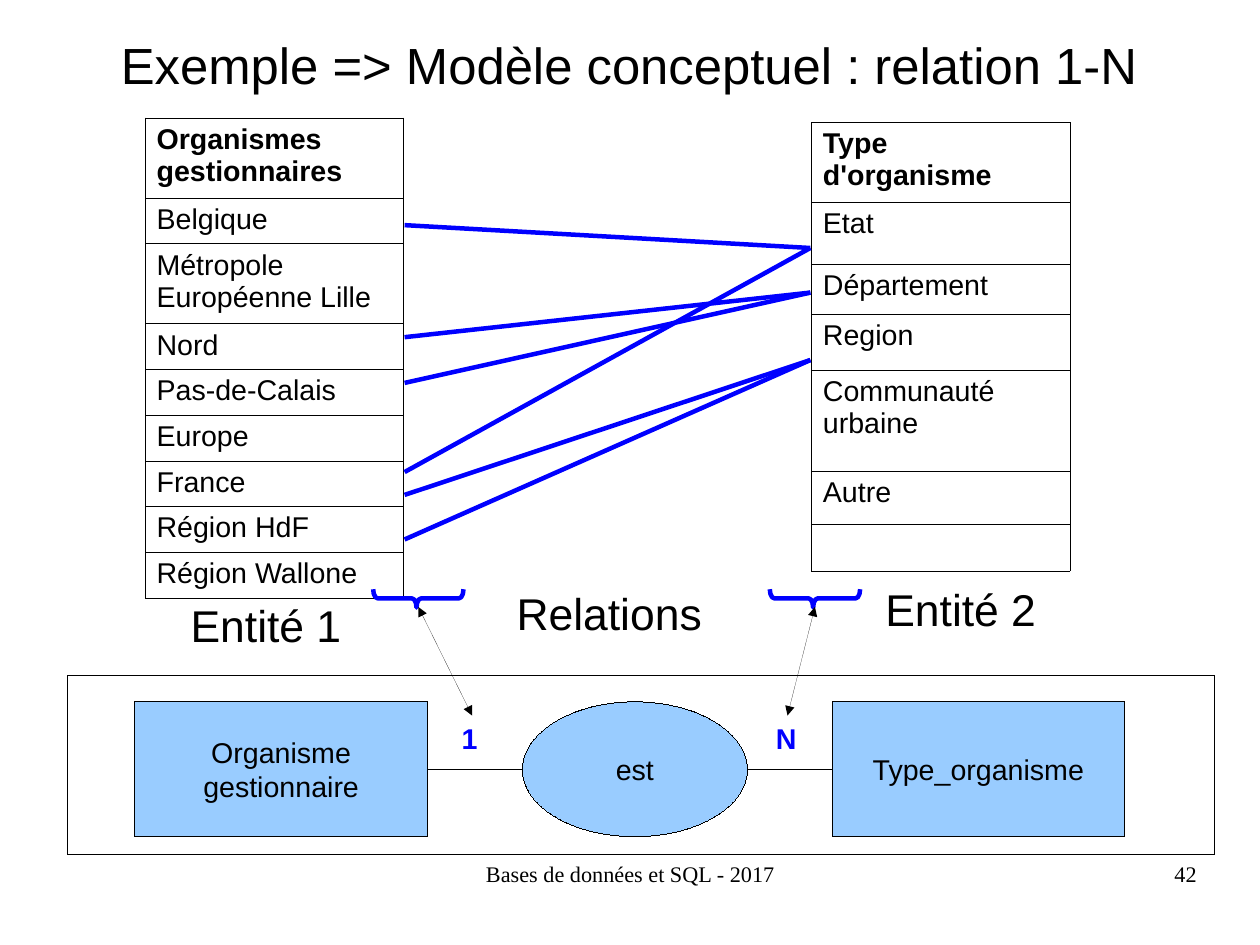
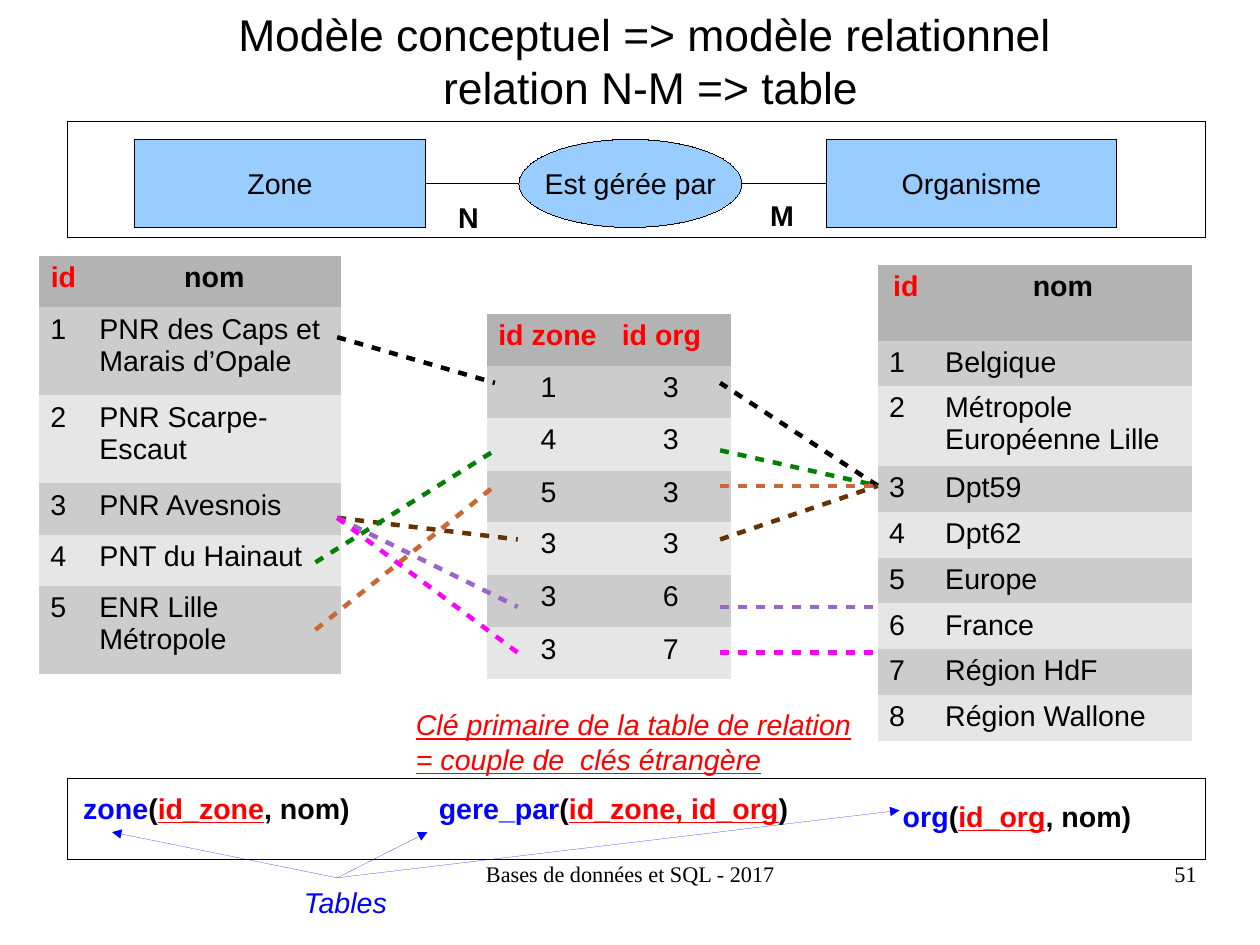
from lxml import etree
from pptx import Presentation
from pptx.dml.color import RGBColor
from pptx.enum.shapes import MSO_CONNECTOR, MSO_SHAPE
from pptx.enum.text import MSO_ANCHOR, PP_ALIGN
from pptx.oxml import parse_xml
from pptx.oxml.ns import nsdecls, qn
from pptx.util import Cm, Pt

PX = 9144  # 100 px to the inch
LEFT, CENTER, RIGHT = PP_ALIGN.LEFT, PP_ALIGN.CENTER, PP_ALIGN.RIGHT
TOP, MIDDLE = MSO_ANCHOR.TOP, MSO_ANCHOR.MIDDLE
RECTANGLE, ELLIPSE, BRACE = MSO_SHAPE.RECTANGLE, MSO_SHAPE.OVAL, MSO_SHAPE.LEFT_BRACE
STRAIGHT = MSO_CONNECTOR.STRAIGHT
NO_GRID_STYLE = "{2D5ABB26-0587-4C30-8999-92F81FD0307C}"
THICK = 2.83
HAIRLINE = 0.01

COLORS = {
    "black": "000000", "blue": "0000FF", "red": "FF0000", "sky": "99CCFF",
    "header": "B3B3B3", "odd": "CCCCCC", "even": "E6E6E6",
    "brown": "663300", "green": "008000", "orange": "CC6633",
    "purple": "9966CC", "pink": "FF00FF",
}
RGB = {name: RGBColor.from_string(value) for name, value in COLORS.items()}


def write(frame, text, size=18, color="black", align=LEFT, bold=False,
          italic=False, underline=False, font="Arial"):
    frame.text = text
    for paragraph in frame.paragraphs:
        paragraph.alignment = align
        for span in paragraph.runs:
            span.font.name = font
            span.font.size = Pt(size)
            span.font.color.rgb = RGB[color]
            span.font.bold = bold
            span.font.italic = italic
            span.font.underline = underline


def draw_line(page, start, end, color="black", width=HAIRLINE, dashed=False, arrows=()):
    """Draw a straight line; arrows lists the ends with a head: headEnd, tailEnd."""
    line = page.shapes.add_connector(
        STRAIGHT, *[int(length * PX) for length in (*start, *end)])
    line.line.color.rgb = RGB[color]
    line.line.width = Pt(width)
    outline = line.line._get_or_add_ln()
    if dashed:
        outline.append(parse_xml(
            f'<a:custDash {nsdecls("a")}><a:ds d="200000" sp="200000"/></a:custDash>'))
    for arrow in arrows:
        etree.SubElement(outline, qn(f"a:{arrow}"), type="triangle")
    etree.SubElement(line._element.spPr, qn("a:effectLst"))
    return line


deck = Presentation()
deck.slide_width, deck.slide_height = Cm(28), Cm(21)
concept, relational = [deck.slides.add_slide(deck.slide_layouts[6]) for _ in range(2)]

# Tables: page, position, column widths, row heights, rows
organisms = ["Belgique", "Métropole Européenne Lille", "Nord", "Pas-de-Calais",
             "Europe", "France", "Région HdF", "Région Wallone"]
departments = {"Nord": "Dpt59", "Pas-de-Calais": "Dpt62"}
kinds = ["Etat", "Département", "Region", "Communauté urbaine", "Autre", ""]
zones = ["PNR des Caps et Marais d’Opale", "PNR Scarpe-Escaut", "PNR Avesnois",
         "PNT du Hainaut", "ENR Lille Métropole"]
links = ["13", "43", "53", "33", "36", "37"]
id_header = ["id ", "nom"]

tables = [
    (concept, (127, 103), [226], [70, 40, 70] + [40] * 6,
     [["Organismes gestionnaires"]] + [[name] for name in organisms]),
    (concept, (710, 107), [226], [70, 54, 44, 49, 88, 47, 40],
     [["Type d'organisme"]] + [[name] for name in kinds]),
    (relational, (768, 232), [49, 226], [66, 40, 70] + [40] * 6,
     [id_header] + [[str(number), departments.get(name, name)]
                    for number, name in enumerate(organisms, 1)]),
    (relational, (34, 224), [43, 221], [45, 77, 77, 45, 45, 77],
     [id_header] + [[str(number), name] for number, name in enumerate(zones, 1)]),
    (relational, (426, 275), [108, 106], [45, 46, 46, 45, 46, 46, 45],
     [["id zone", "id org"]] + [list(pair) for pair in links]),
]
for page, (left, top), widths, heights, rows in tables:
    table = page.shapes.add_table(
        len(rows), len(widths), left * PX, top * PX,
        sum(widths) * PX, sum(heights) * PX).table
    table.first_row = table.horz_banding = False
    table._tbl.tblPr.find(qn("a:tableStyleId")).text = NO_GRID_STYLE
    for column, width in zip(table.columns, widths):
        column.width = width * PX
    for row_index, texts in enumerate(rows):
        table.rows[row_index].height = heights[row_index] * PX
        is_header = row_index == 0
        for column_index, text in enumerate(texts):
            cell = table.cell(row_index, column_index)
            is_key = is_header and text.startswith("id")
            is_centered = text in id_header or (rows[0][0] == "id zone" and not is_header)
            write(cell.text_frame, text, bold=is_header,
                  color="red" if is_key else "black",
                  align=CENTER if is_centered else LEFT)
            if page is relational:
                cell.fill.solid()
                band = "header" if is_header else ("even", "odd")[row_index % 2]
                cell.fill.fore_color.rgb = RGB[band]
                continue
            cell.fill.background()
            for index, side in enumerate("LRTB"):
                cell._tc.get_or_add_tcPr().insert(index, parse_xml(
                    f'<a:ln{side} {nsdecls("a")} w="762"><a:solidFill>'
                    f'<a:srgbClr val="{COLORS["black"]}"/></a:solidFill></a:ln{side}>'))

# Links between the rows of the tables
for start_y, end_y in [(295, 256), (335, 256), (197, 217), (413, 217), (472, 315), (433, 315)]:
    draw_line(concept, (354, start_y), (709, end_y), "blue", THICK)

for start, end, color in [
    ((295, 453), (453, 472), "brown"),
    ((276, 492), (433, 394), "green"),
    ((276, 551), (433, 425), "orange"),
    ((768, 425), (630, 335), "black"),
    ((630, 394), (768, 425), "green"),
    ((630, 425), (768, 425), "orange"),
    ((630, 472), (768, 425), "brown"),
    ((630, 531), (768, 531), "purple"),
    ((630, 571), (768, 571), "pink"),
    ((295, 453), (453, 531), "purple"),
    ((295, 453), (453, 571), "pink"),
    ((295, 295), (433, 335), "black"),
]:
    draw_line(relational, start, end, color, THICK, dashed=True)

# Entity diagrams and frames: kind, left, top, width, height, text
diagrams = [
    (concept, [(RECTANGLE, 59, 591, 1004, 157, ""),
               (RECTANGLE, 118, 614, 256, 118, "Organisme\ngestionnaire"),
               (ELLIPSE, 457, 614, 197, 118, "est"),
               (RECTANGLE, 728, 614, 256, 118, "Type_organisme")]),
    (relational, [(RECTANGLE, 59, 681, 996, 71, ""),
                  (RECTANGLE, 59, 106, 996, 102, ""),
                  (RECTANGLE, 118, 122, 254, 77, "Zone"),
                  (ELLIPSE, 454, 122, 195, 77, "Est gérée par"),
                  (RECTANGLE, 723, 122, 254, 77, "Organisme")]),
]
for page, parts in diagrams:
    shapes = []
    for kind, left, top, width, height, text in parts:
        shape = page.shapes.add_shape(kind, left * PX, top * PX, width * PX, height * PX)
        shape.shadow.inherit = False
        shape.line.color.rgb = RGB["black"]
        shape.line.width = Pt(HAIRLINE)
        if text:
            shape.fill.solid()
            shape.fill.fore_color.rgb = RGB["sky"]
            shape.text_frame.word_wrap = False
            shape.text_frame.vertical_anchor = MIDDLE
            write(shape.text_frame, text, align=CENTER)
        else:
            shape.fill.background()
        shapes.append(shape)
    first_entity, _, second_entity = shapes[-3:]
    _, left, top, width, height, _ = parts[-2]
    middle = top + height / 2
    draw_line(page, (left, middle), (left, middle)).begin_connect(first_entity, 3)
    draw_line(page, (left + width, middle), (left, middle)).end_connect(second_entity, 1)

# Braces and their arrows
for brace_left, start, end in [(358, (366, 531), (413, 626)), (705, (713, 531), (689, 626))]:
    brace = concept.shapes.add_shape(BRACE, brace_left * PX, 484 * PX, 16 * PX, 79 * PX)
    brace.rotation = 270
    brace.adjustments[0], brace.adjustments[1] = 0.25, 0.48
    brace.shadow.inherit = False
    brace.fill.background()
    brace.line.color.rgb = RGB["blue"]
    brace.line.width = Pt(THICK)
    draw_line(concept, start, end, arrows=("headEnd", "tailEnd"))

# Free texts: page, left, top, width, height, text, format
label = {"size": 28, "align": CENTER}
cardinality = {"bold": True}
texts = [
    (concept, 157, 518, 157, 53, "Entité 1", {"size": 28}),
    (concept, 413, 508, 240, 53, "Relations", label),
    (concept, 736, 504, 209, 71, "Entité 2", label),
    (concept, 394, 626, 39, 43, "1", cardinality | {"color": "blue"}),
    (concept, 669, 626, 39, 38, "N", cardinality | {"color": "blue"}),
    (relational, 391, 170, 59, 38, "N", cardinality),
    (relational, 664, 168, 59, 38, "M", cardinality),
    (relational, 256, 769, 157, 38, "Tables", {"color": "blue", "italic": True}),
    (relational, 354, 614, 402, 66,
     "Clé primaire de la table de relation = couple de  clés étrangère",
     {"color": "red", "italic": True, "underline": True}),
]
for page, left, top, width, height, text, style in texts:
    box = page.shapes.add_textbox(left * PX, top * PX, width * PX, height * PX)
    box.text_frame.word_wrap = True
    write(box.text_frame, text, **style)

# Relational schema
for left, top, width, name, key, rest in [
    (63, 687, 256, "zone", "id_zone", ", nom)"),
    (374, 687, 335, "gere_par", "id_zone, id_org", ")"),
    (780, 694, 256, "org", "id_org", ", nom)"),
]:
    box = relational.shapes.add_textbox(left * PX, top * PX, width * PX, 38 * PX)
    box.text_frame.word_wrap = True
    write(box.text_frame, name, color="blue", bold=True)
    for text, color in [("(", "black"), (key, "red"), (rest, "black")]:
        span = box.text_frame.paragraphs[0].add_run()
        span.text = text
        span.font.name = "Arial"
        span.font.size = Pt(18)
        span.font.bold = True
        span.font.underline = text == key
        span.font.color.rgb = RGB[color]

for target in [(98, 728), (374, 728), (787, 709)]:
    draw_line(relational, (295, 768), target, "blue", arrows=("tailEnd",))

# Title, footer and page number
footer = {"size": 14, "font": "Times New Roman"}
for page, title, title_place, title_size, number in [
    (concept, "Exemple => Modèle conceptuel : relation 1-N", (55, 14, 992, 84), 32, "42"),
    (relational, "Modèle conceptuel => modèle relationnel \vrelation N-M => table",
     (55, 9, 1028, 87), 28, "51"),
]:
    for place, text, anchor, style in [
        (title_place, title, MIDDLE, {"size": title_size, "align": CENTER}),
        ((377, 753, 349, 57), "Bases de données et SQL - 2017", TOP, footer | {"align": CENTER}),
        ((790, 753, 257, 57), number, TOP, footer | {"align": RIGHT}),
    ]:
        box = page.shapes.add_textbox(*[length * PX for length in place])
        frame = box.text_frame
        frame.word_wrap = True
        frame.vertical_anchor = anchor
        frame.margin_left = frame.margin_right = frame.margin_top = frame.margin_bottom = 0
        write(frame, text, **style)

deck.save("out.pptx")
